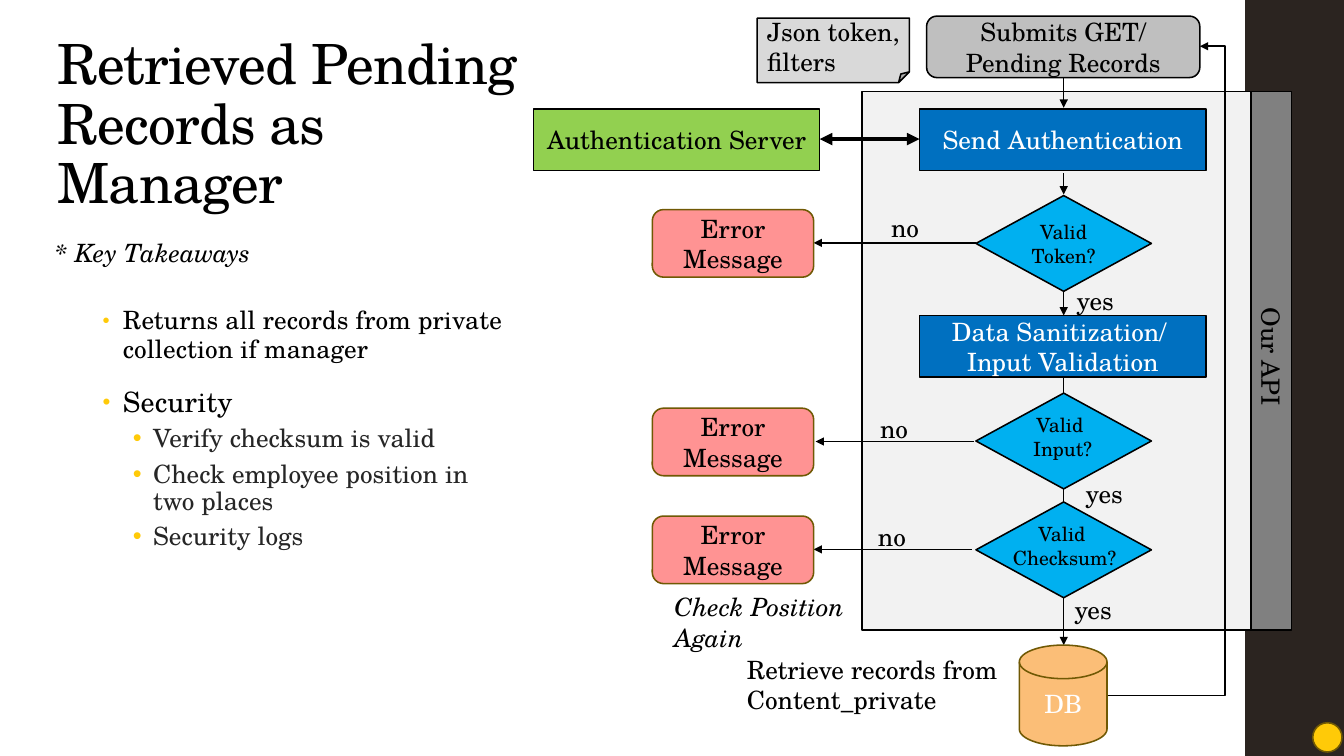
import pptx
import pptx.util
import pptx.dml.color
import pptx.enum.shapes
import pptx.enum.text
import pptx.oxml
import pptx.oxml.ns

SHAPE = pptx.enum.shapes.MSO_SHAPE
CONNECTOR = pptx.enum.shapes.MSO_CONNECTOR
ALIGN = pptx.enum.text.PP_ALIGN
ANCHOR = pptx.enum.text.MSO_ANCHOR

BLACK, WHITE, OLIVE, YELLOW = "000000", "FFFFFF", "705904", "FFCA08"
BLUE, SKY, PINK = "0070C0", "00B0F0", "FF9393"
FLOW_COLUMN = 105.5
DIAMOND_LEFT, DIAMOND_WIDTH, DIAMOND_HEIGHT = 96.8, 17.4, 9.5
STEP_WIDTH, STEP_HEIGHT = 28.4, 6.1
ERROR_LEFT, ERROR_WIDTH, ERROR_HEIGHT = 64.7, 16, 6.7


def color(value):
    return pptx.dml.color.RGBColor.from_string(value)


def apply(target, values):
    for name, value in values.items():
        setattr(target, name, value)


class FlowSlide:
    """Draws slide elements on a grid whose columns and rows are a tenth of an inch."""

    font = "TeX Gyre Schola"
    line_width = 1.1

    def __init__(self, presentation):
        self.slide = presentation.slides.add_slide(presentation.slide_layouts[6])

    def grid(self, *cells):
        return [pptx.util.Inches(cell / 10) for cell in cells]

    def add_words(self, paragraph, text, size=18, ink=BLACK, italic=None, tracking=0, **layout):
        run = paragraph.add_run()
        run.text = text
        apply(run.font, {"name": self.font, "size": pptx.util.Pt(size), "italic": italic})
        run.font.color.rgb = color(ink)
        if tracking:
            run._r.get_or_add_rPr().set("spc", str(tracking))
        apply(paragraph, layout)

    def fill_frame(self, frame, text, anchor, **style):
        apply(frame, {"word_wrap": True, "vertical_anchor": anchor})
        for index, line in enumerate(text.split("\n")):
            paragraph = frame.add_paragraph() if index else frame.paragraphs[0]
            self.add_words(paragraph, line, **style)

    def shape(self, kind, cells, fill, line=BLACK, text="", **style):
        shape = self.slide.shapes.add_shape(kind, *self.grid(*cells))
        shape.shadow.inherit = False
        shape.fill.solid()
        shape.fill.fore_color.rgb = color(fill)
        if line:
            shape.line.color.rgb = color(line)
            shape.line.width = pptx.util.Pt(self.line_width)
        else:
            shape.line.fill.background()
        if text:
            self.fill_frame(shape.text_frame, text, ANCHOR.MIDDLE, alignment=ALIGN.CENTER, **style)

    def text(self, cells, text, anchor=ANCHOR.TOP, rotation=0, **style):
        box = self.slide.shapes.add_textbox(*self.grid(*cells))
        box.rotation = rotation
        self.fill_frame(box.text_frame, text, anchor, **style)

    def arrow(self, start, end, kind=CONNECTOR.STRAIGHT, width=line_width, ends=("tailEnd",), bend=None):
        connector = self.slide.shapes.add_connector(kind, *self.grid(*start, *end))
        connector.line.color.rgb = color(BLACK)
        connector.line.width = pptx.util.Pt(width)
        properties = connector._element.spPr
        outline = connector.get_or_add_ln()
        for name in ends:
            outline.append(pptx.oxml.parse_xml(
                f'<a:{name} {pptx.oxml.ns.nsdecls("a")} type="triangle"/>'))
        properties.append(pptx.oxml.parse_xml(f'<a:effectLst {pptx.oxml.ns.nsdecls("a")}/>'))
        if bend:
            guides = properties.prstGeom.get_or_add_avLst()
            guides.append(pptx.oxml.parse_xml(
                f'<a:gd {pptx.oxml.ns.nsdecls("a")} name="adj1" fmla="val {bend}"/>'))

    def bullets(self, cells, items):
        frame = self.slide.shapes.add_textbox(*self.grid(*cells)).text_frame
        frame.word_wrap = True
        for index, (level, size, text) in enumerate(items):
            paragraph = frame.add_paragraph() if index else frame.paragraphs[0]
            spacing = ((14, 2, 0.95), (3, 3, 0.9))[level]
            self.add_words(paragraph, text, size, (BLACK, "262626")[level], tracking=(10, 0)[level],
                           level=level, space_before=pptx.util.Pt(spacing[0]),
                           space_after=pptx.util.Pt(spacing[1]), line_spacing=spacing[2])
            margin, hanging = self.grid((2, 5)[level], 2)
            properties = paragraph._p.get_or_add_pPr()
            properties.set("marL", str(margin))
            properties.set("indent", str(-hanging))
            for tag, content in (
                ("buClr", f'><a:srgbClr val="{YELLOW}"/></a:buClr>'),
                ("buSzPct", f' val="{(80000, 100000)[level]}"/>'),
                ("buFont", ' typeface="Arial"/>'),
                ("buChar", ' char="•"/>'),
            ):
                properties.append(pptx.oxml.parse_xml(
                    f'<a:{tag} {pptx.oxml.ns.nsdecls("a")}{content}'))


def main():
    presentation = pptx.Presentation()
    apply(presentation, {"slide_width": pptx.util.Inches(13.33),
                         "slide_height": pptx.util.Inches(7.5)})
    flow = FlowSlide(presentation)

    flow.shape(SHAPE.RECTANGLE, (123.5, 0, 9.8, 75), "2B2420", None)
    flow.shape(SHAPE.RECTANGLE, (85.5, 9.1, 39.8, 53.4), "F2F2F2")
    flow.shape(SHAPE.RECTANGLE, (124.1, 9.1, 4, 53.4), "808080")
    flow.shape(SHAPE.OVAL, (130.2, 71.7, 2.9, 2.9), YELLOW, OLIVE)

    flow.text((4.7, 7.4, 49.5, 14.5), "Retrieved Pending Records as Manager", ANCHOR.BOTTOM,
              size=39.6, tracking=-50, line_spacing=0.9)
    flow.text((4.5, 23.1, 42.7, 4), "* Key Takeaways", italic=True)
    flow.bullets((9.2, 29.95, 42.5, 42.4), (
        (0, 18, "Returns all records from private collection if manager"),
        (0, 20, "Security"),
        (1, 18, "Verify checksum is valid"),
        (1, 18, "Check employee position in two places"),
        (1, 18, "Security logs"),
    ))

    for top, bottom in ((5.7, 10.7), (17.2, 19.3), (28.2, 31.3), (37.4, 64)):
        flow.arrow((FLOW_COLUMN, top), (FLOW_COLUMN, bottom))
    flow.arrow((81.3, 13.8), (91.2, 13.8), width=3, ends=("headEnd", "tailEnd"))
    for right, left, row in ((96.8, 80.7, 24.1), (96.6, 80.9, 43.8), (96.4, 80.7, 54.5)):
        flow.arrow((right, row), (left, row))
    flow.arrow((109.8, 69), (119, 4.6), CONNECTOR.ELBOW, bend=127200)

    flow.shape(SHAPE.FOLDED_CORNER, (75.1, 1.8, 15.1, 6.4), "D9D9D9")
    flow.text((75.1, 1.1, 20.3, 7.1), "Json token, filters")
    flow.shape(SHAPE.ROUNDED_RECTANGLE, (91.9, 1.6, 27.1, STEP_HEIGHT), "BFBFBF",
               text="Submits GET/ Pending Records")
    for left, top, fill, ink, label in (
        (52.9, 10.8, "92D050", BLACK, "Authentication Server"),
        (91.2, 10.8, BLUE, WHITE, "Send Authentication"),
        (91.2, 31.3, BLUE, WHITE, "Data Sanitization/ \nInput Validation"),
    ):
        flow.shape(SHAPE.RECTANGLE, (left, top, STEP_WIDTH, STEP_HEIGHT), fill, text=label, ink=ink)

    for top, label in ((19.4, "Valid Token?"), (39, ""), (49.8, "")):
        flow.shape(SHAPE.DIAMOND, (DIAMOND_LEFT, top, DIAMOND_WIDTH, DIAMOND_HEIGHT), SKY,
                   text=label, size=14)
    for left, top, label in ((97.5, 40.5, "Valid \nInput?"), (97.7, 51.3, "Valid \nChecksum?")):
        flow.text((left, top, 15.8, 5.7), label, size=14, alignment=ALIGN.CENTER)
    for top in (20.8, 40.5, 51.2):
        flow.shape(SHAPE.ROUNDED_RECTANGLE, (ERROR_LEFT, top, ERROR_WIDTH, ERROR_HEIGHT), PINK,
                   OLIVE, "Error Message")
    for left, top, answer in (
        (87.4, 20.6, "no"), (86.3, 40.5, "no"), (86.1, 51.2, "no"),
        (105.8, 27.8, "yes"), (106.7, 47, "yes"), (105.6, 58.5, "yes"),
    ):
        flow.text((left, top, 6.4, 4), answer)

    flow.shape(SHAPE.FLOWCHART_MAGNETIC_DISK, (101.1, 64, 8.7, 10), "FBBE77", OLIVE, "DB", ink=WHITE)
    flow.text((65.9, 58.2, 25.4, 4), "Check Position Again", italic=True)
    flow.text((73.1, 64.4, 31.3, 7.1), "Retrieve records from Content_private")
    flow.text((99.7, 33.4, 52.8, 4), "Our API", rotation=90, alignment=ALIGN.CENTER)

    presentation.save("out.pptx")


if __name__ == "__main__":
    main()
